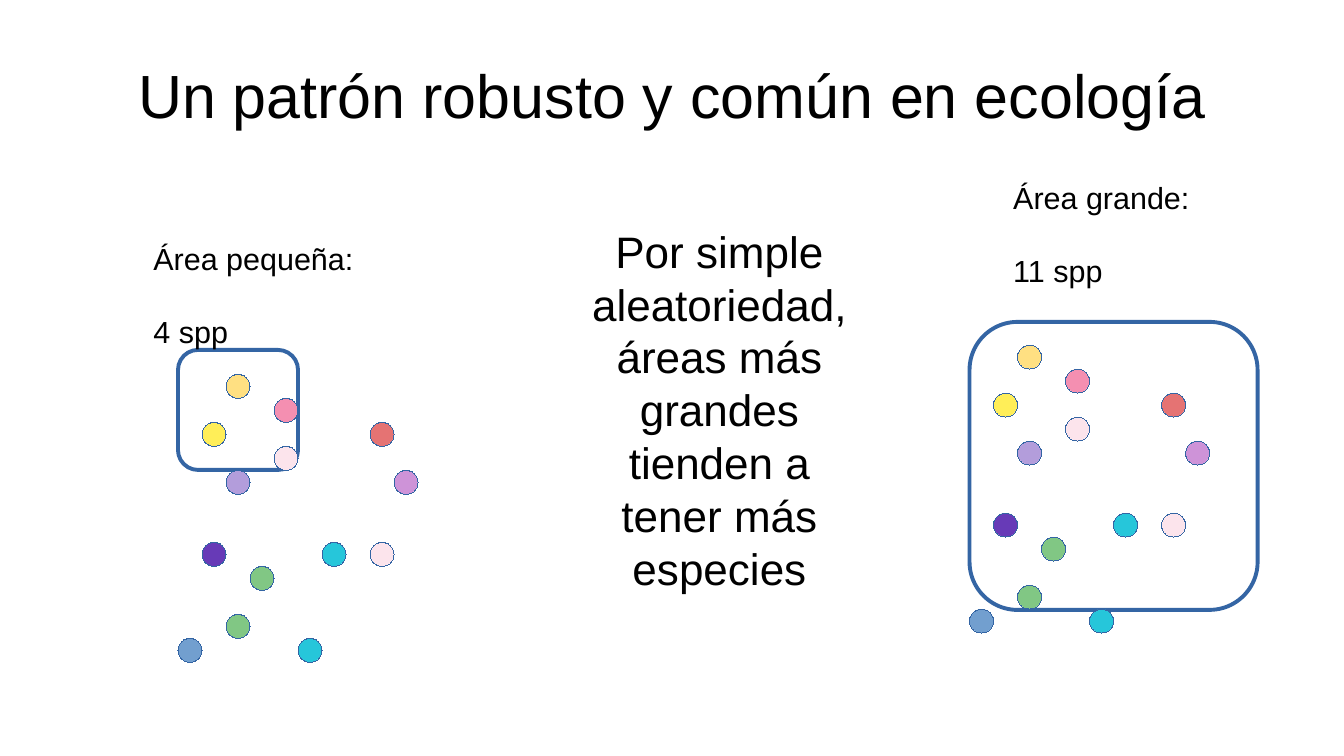
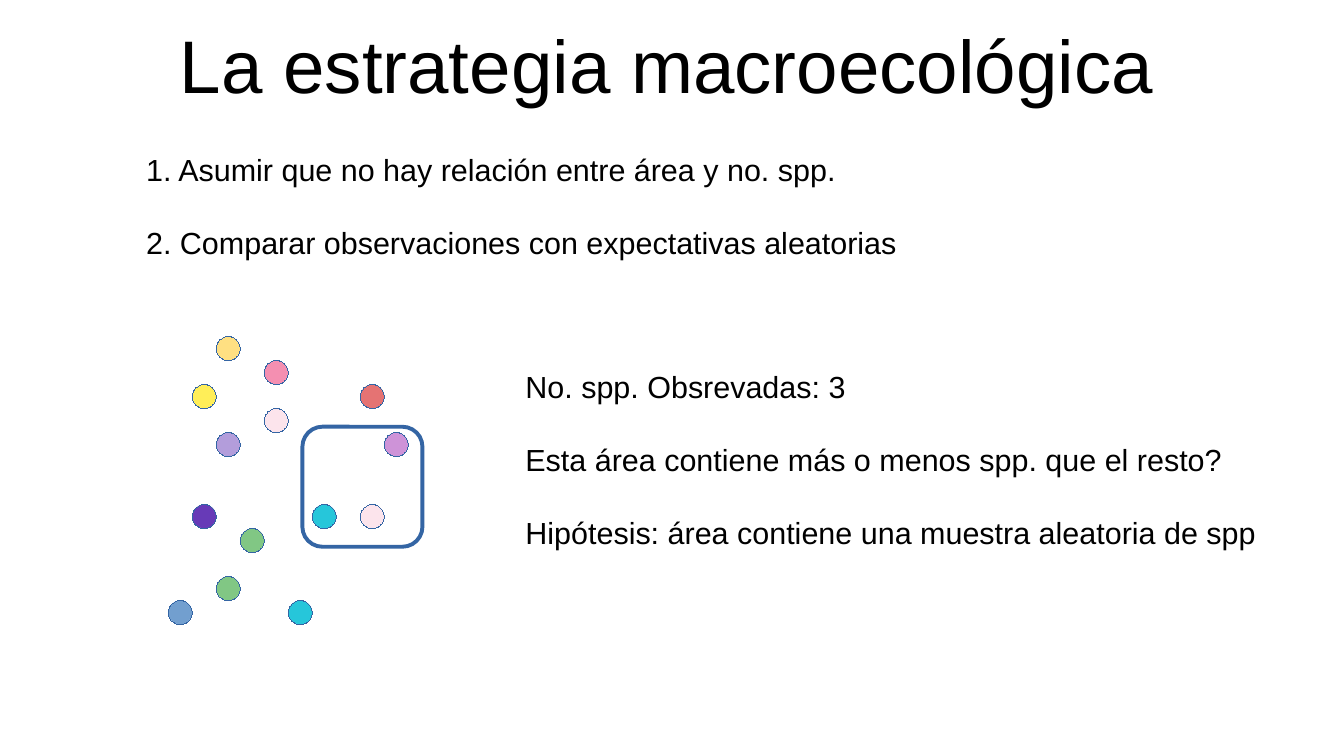
from dataclasses import dataclass

from pptx import Presentation
from pptx.dml.color import RGBColor
from pptx.enum.shapes import MSO_SHAPE as Preset
from pptx.enum.text import MSO_ANCHOR as Anchor
from pptx.enum.text import MSO_AUTO_SIZE as AutoSize
from pptx.enum.text import PP_ALIGN as Align
from pptx.shapes.autoshape import Shape
from pptx.slide import Slide
from pptx.util import Inches, Pt

FONT = "Arial"
COLOURS = {
    "background": "FFFFFF",
    "text": "000000",
    "outline": "3465A4",
    "pale": "FCE4EC",
    "amber": "FFE082",
    "orchid": "CE93D8",
    "red": "E57373",
    "green": "81C784",
    "lavender": "B39DDB",
    "yellow": "FFEE58",
    "pink": "F48FB1",
    "violet": "673AB7",
    "cyan": "26C6DA",
    "blue": "729FCF",
}
STEP = 0.5 / 2.54  # half a centimetre: grid step and dot diameter
LINE_GAP = 21.6  # points between paragraphs
PLOT_LINE = 2.3
HAIRLINE = 0.01  # python-pptx drops a width of 0


@dataclass(frozen=True)
class Individual:
    """One organism, placed on the community grid."""
    colour: str
    column: int
    row: int


@dataclass(frozen=True)
class Plot:
    """A square sampling area; its side is counted in grid steps."""
    left: float
    top: float
    steps: int


@dataclass(frozen=True)
class Label:
    left: float
    top: float
    width: float
    height: float
    lines: tuple[str, ...]
    size: int = 18
    align: Align = Align.LEFT
    wrap: bool = False


COMMUNITY = (
    Individual("pale", 4, 3),
    Individual("amber", 2, 0),
    Individual("orchid", 9, 4),
    Individual("red", 8, 2),
    Individual("green", 2, 10),
    Individual("lavender", 2, 4),
    Individual("yellow", 1, 2),
    Individual("pink", 4, 1),
    Individual("violet", 1, 7),
    Individual("cyan", 5, 11),
    Individual("blue", 0, 11),
    Individual("cyan", 6, 7),
    Individual("green", 3, 8),
    Individual("pale", 8, 7),
)


def rgb(name: str) -> RGBColor:
    return RGBColor.from_string(COLOURS[name])


def add_label(slide: Slide, label: Label) -> Shape:
    box = slide.shapes.add_textbox(
        Inches(label.left), Inches(label.top), Inches(label.width), Inches(label.height)
    )
    frame = box.text_frame
    frame.word_wrap = label.wrap
    frame.auto_size = AutoSize.SHAPE_TO_FIT_TEXT
    frame.text = "\n".join(label.lines)
    for index, paragraph in enumerate(frame.paragraphs):
        paragraph.alignment = label.align
        paragraph.space_before = Pt(LINE_GAP if index else 0)
        paragraph.font.name = FONT
        paragraph.font.size = Pt(label.size)
        paragraph.font.color.rgb = rgb("text")
    return box


def add_title(slide: Slide, text: str, left: float, top: float, size: int) -> None:
    title = add_label(slide, Label(left, top, 9.92, 1.04, (text,), size, Align.CENTER, True))
    frame = title.text_frame
    frame.auto_size = AutoSize.NONE
    frame.vertical_anchor = Anchor.MIDDLE
    frame.margin_left = frame.margin_right = frame.margin_top = frame.margin_bottom = 0


def add_outlined(
    slide: Slide, preset: Preset, left: float, top: float, side: float, line_width: float
) -> Shape:
    shape = slide.shapes.add_shape(
        preset, Inches(left), Inches(top), Inches(side), Inches(side)
    )
    shape.shadow.inherit = False
    shape.line.color.rgb = rgb("outline")
    shape.line.width = Pt(line_width)
    return shape


def add_sample(slide: Slide, plot: Plot, left: float, top: float) -> None:
    """Draw a plot and, over it, the community with its grid origin at left, top."""
    frame = add_outlined(
        slide, Preset.ROUNDED_RECTANGLE, plot.left, plot.top, plot.steps * STEP, PLOT_LINE
    )
    frame.fill.background()
    for organism in COMMUNITY:
        dot = add_outlined(
            slide,
            Preset.OVAL,
            left + organism.column * STEP,
            top + organism.row * STEP,
            STEP,
            HAIRLINE,
        )
        dot.fill.solid()
        dot.fill.fore_color.rgb = rgb(organism.colour)


def add_slide(deck: Presentation) -> Slide:
    slide = deck.slides.add_slide(deck.slide_layouts[6])
    slide.background.fill.solid()
    slide.background.fill.fore_color.rgb = rgb("background")
    return slide


def build_pattern(slide: Slide) -> None:
    add_title(slide, "Un patrón robusto y común en ecología", 0.55, 0.25, 36)
    add_sample(slide, Plot(1.46, 2.87, 5), 1.46, 3.07)
    add_sample(slide, Plot(7.95, 2.64, 12), 7.95, 2.83)
    explanation = "Por simple aleatoriedad, áreas más grandes tienden a tener más especies"
    for label in (
        Label(1.16, 1.92, 1.9, 0.94, ("Área pequeña:", "4 spp")),
        Label(8.21, 1.42, 1.8, 0.94, ("Área grande:", "11 spp")),
        Label(4.72, 1.79, 2.36, 3.33, (explanation,), 26, Align.CENTER, True),
    ):
        add_label(slide, label)


def build_strategy(slide: Slide) -> None:
    add_title(slide, "La estrategia macroecológica", 0.51, 0, 44)
    add_sample(slide, Plot(2.48, 3.5, 5), 1.38, 2.76)
    steps = (
        "1. Asumir que no hay relación entre área y no. spp.",
        "2. Comparar observaciones con expectativas aleatorias",
    )
    questions = (
        "No. spp. Obsrevadas: 3",
        "Esta área contiene más o menos spp. que el resto?",
        "Hipótesis: área contiene una muestra aleatoria de spp",
    )
    add_label(slide, Label(1.1, 1.19, 6.5, 0.94, steps, wrap=True))
    add_label(slide, Label(4.21, 2.97, 6.25, 1.5, questions))


def main() -> None:
    deck = Presentation()
    deck.slide_width = Inches(11.02)
    deck.slide_height = Inches(6.2)
    for build in (build_pattern, build_strategy):
        build(add_slide(deck))
    deck.save("out.pptx")


if __name__ == "__main__":
    main()
